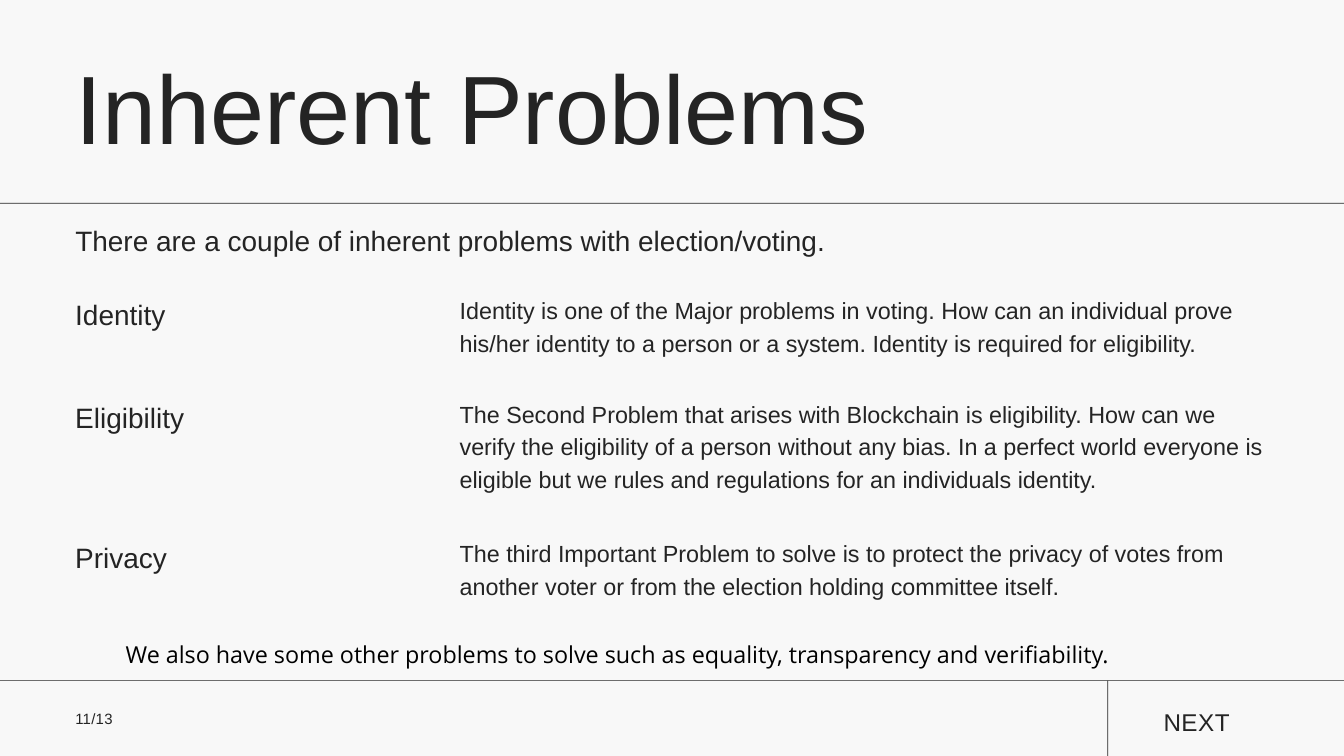
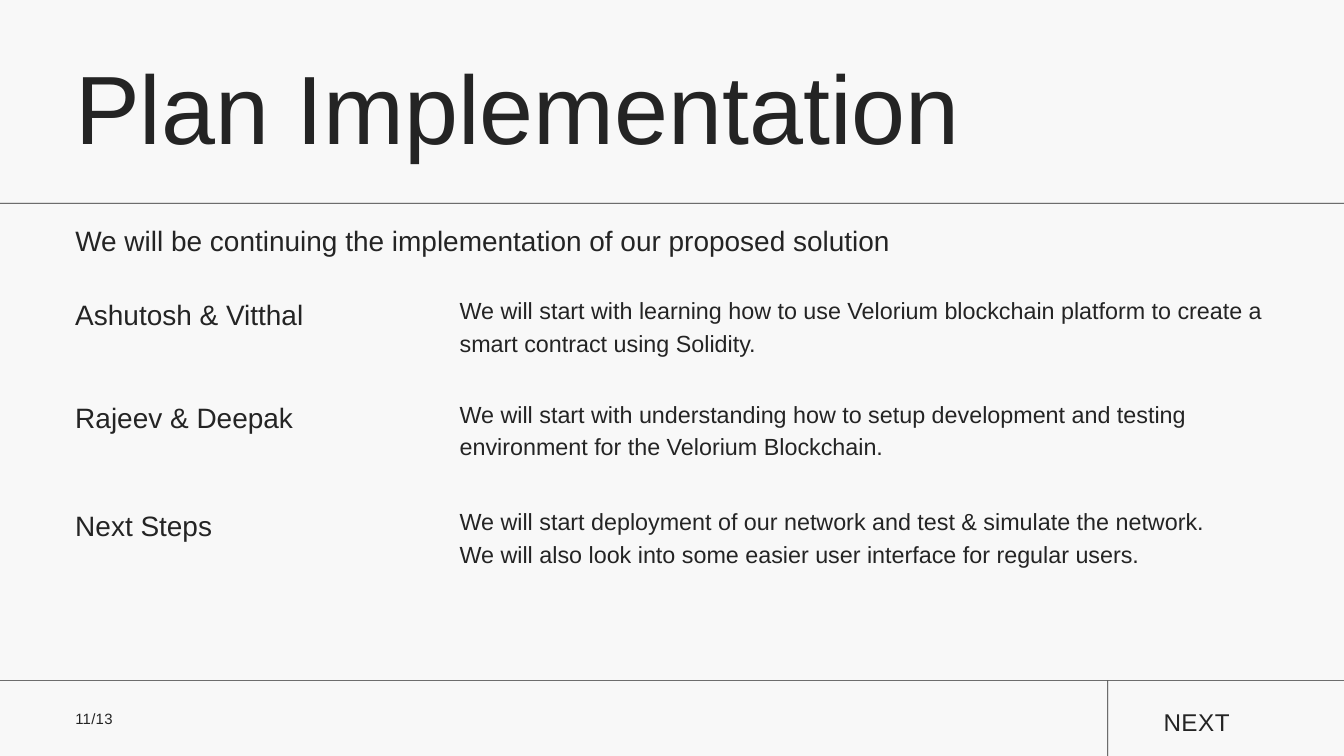
from pptx import Presentation
from pptx.dml.color import RGBColor
from pptx.enum.shapes import MSO_SHAPE as Shape
from pptx.enum.text import MSO_AUTO_SIZE as AutoSize, PP_ALIGN as Align
from pptx.util import Inches, Pt

PAPER, INK, BLACK = "F8F8F8", "242424", "000000"
SANS, NOTE_FONT = "Arial", "Open Sans"
WIDTH, HEIGHT = 20, 11.25
MARGIN, DETAIL_LEFT = 1.12, 6.84
HAIRLINE = 0.01
FOOTER_TOP, NEXT_LEFT = 10.12, 16.48
DETAIL_LINE = 0.47

PROBLEMS = [
    (4.34, 2, "Identity", [
        "Identity is one of the Major problems in voting. How can an individual prove "
        "his/her identity to a person or a system. Identity is required for eligibility."]),
    (5.88, 3, "Eligibility", [
        "The Second Problem that arises with Blockchain is eligibility. How can we verify "
        "the eligibility of a person without any bias. In a perfect world everyone is "
        "eligible but we rules and regulations for an individuals identity."]),
    (7.96, 2, "Privacy", [
        "The third Important Problem to solve is to protect the privacy of votes from "
        "another voter or from the election holding committee itself."]),
]
PLAN = [
    (4.34, 2, "Ashutosh & Vitthal", [
        "We will start with learning how to use Velorium blockchain platform to create "
        "a smart contract using Solidity."]),
    (5.88, 2, "Rajeev & Deepak", [
        "We will start with understanding how to setup development and testing "
        "environment for the Velorium Blockchain."]),
    (7.48, 2, "Next Steps", [
        "We will start deployment of our network and test & simulate the network.",
        "We will also look into some easier user interface for regular users."]),
]


def rgb(hex_code):
    return RGBColor.from_string(hex_code)


def add_text(shapes, at, paragraphs, size, font=SANS, color=INK,
             align=Align.LEFT, leading=1.4, tracking=0):
    """Add an unpadded text box; leading is a multiple of size, tracking is in points."""
    box = shapes.add_textbox(*map(Inches, at))
    frame = box.text_frame
    frame.margin_left = frame.margin_right = frame.margin_top = frame.margin_bottom = 0
    frame.word_wrap = True
    frame.auto_size = AutoSize.SHAPE_TO_FIT_TEXT
    for index, text in enumerate(paragraphs):
        paragraph = frame.add_paragraph() if index else frame.paragraphs[0]
        paragraph.alignment = align
        paragraph.line_spacing = Pt(size * leading)
        run = paragraph.add_run()
        run.text = text
        run.font.name = font
        run.font.size = Pt(size)
        run.font.color.rgb = rgb(color)
        if tracking:
            run.font._element.set("spc", str(round(tracking * 100)))


def add_rule(slide, *at):
    rule = slide.shapes.add_shape(Shape.RECTANGLE, *map(Inches, at))
    rule.shadow.inherit = False
    rule.fill.solid()
    rule.fill.fore_color.rgb = rgb(INK)
    rule.line.fill.background()


def add_footer(slide, page):
    add_rule(slide, 0, FOOTER_TOP, WIDTH, HAIRLINE)
    divider_top = FOOTER_TOP + HAIRLINE
    add_rule(slide, NEXT_LEFT, divider_top, HAIRLINE, HEIGHT - divider_top)
    add_text(slide.shapes, (16.97, 10.45, 1.33, 0.46), ["NEXT"], 26,
             align=Align.RIGHT, tracking=0.5)
    add_text(slide.shapes, (MARGIN, 10.51, 1.48, 0.31), [page], 16, tracking=0.3)


def add_topic(slide, top, line_count, heading, details):
    """Group a heading in the left column with its details in the right one."""
    topic = slide.shapes.add_group_shape().shapes
    add_text(topic, (MARGIN, top, 4.83, 0.55), [heading], 30)
    add_text(topic, (DETAIL_LEFT, top, 12.03, line_count * DETAIL_LINE), details, 25)


def add_topic_slide(deck, title, intro, topics):
    slide = deck.slides.add_slide(deck.slide_layouts[6])
    slide.background.fill.solid()
    slide.background.fill.fore_color.rgb = rgb(PAPER)
    add_text(slide.shapes, (MARGIN, 0.7, 15.35, 1.72), [title], 104, leading=1.2)
    add_footer(slide, "11/13")
    for topic in topics:
        add_topic(slide, *topic)
    add_rule(slide, 0, 3.02, WIDTH, HAIRLINE)
    add_text(slide.shapes, (MARGIN, 3.24, 17.75, 0.57), [intro], 30)
    return slide


def main():
    deck = Presentation()
    deck.slide_width, deck.slide_height = Inches(WIDTH), Inches(HEIGHT)
    problems = add_topic_slide(
        deck, "Inherent Problems",
        "There are a couple of inherent problems with election/voting.", PROBLEMS)
    add_text(problems.shapes, (1.87, 9.45, 14.71, 0.46),
             ["We also have some other problems to solve such as equality, "
              "transparency and verifiability."], 25, NOTE_FONT, BLACK)
    add_topic_slide(
        deck, "Plan Implementation",
        "We will be continuing the implementation of our proposed solution", PLAN)
    deck.save("out.pptx")


if __name__ == "__main__":
    main()
